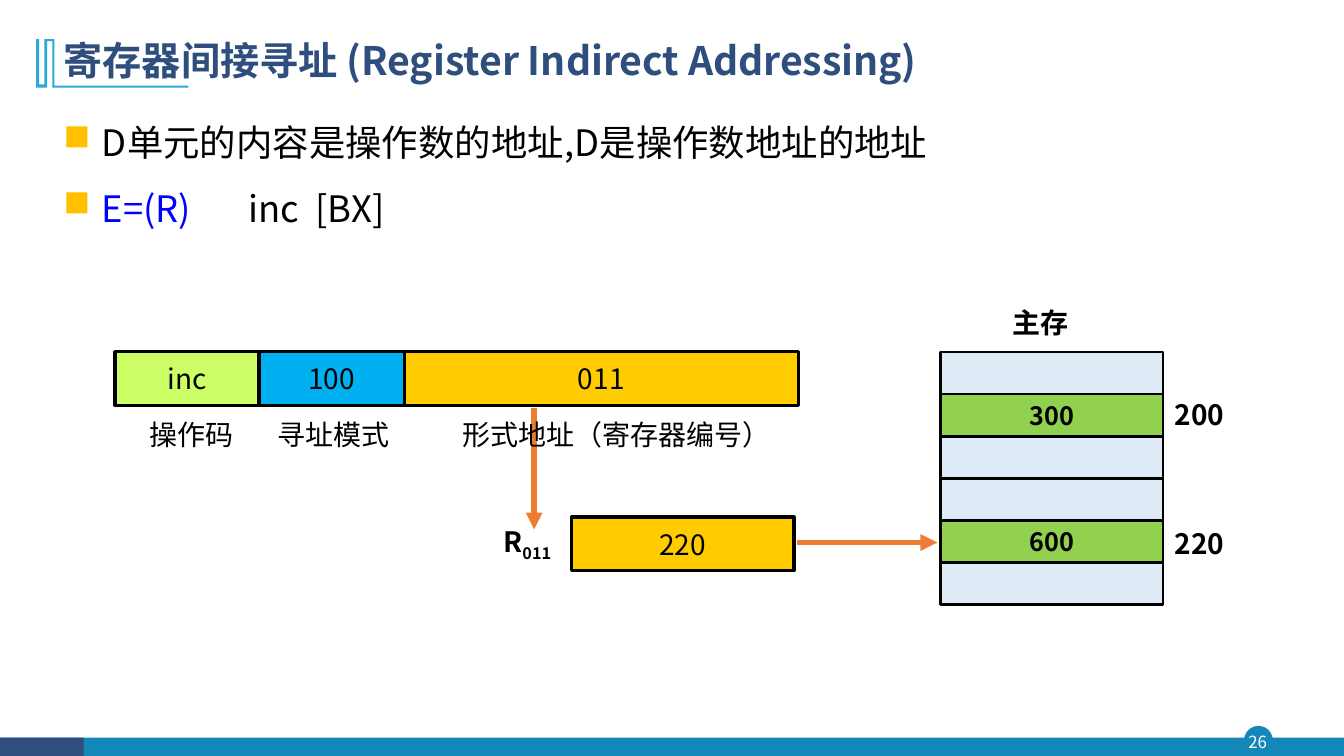
from dataclasses import dataclass

from lxml.etree import SubElement
from pptx import Presentation
from pptx.dml.color import RGBColor
from pptx.enum.shapes import MSO_CONNECTOR, MSO_SHAPE as Preset
from pptx.enum.text import MSO_ANCHOR as Anchor, MSO_AUTO_SIZE as AutoSize, PP_ALIGN as Align
from pptx.oxml.ns import qn
from pptx.util import Cm, Pt

FONT = "Noto Sans CJK SC"
BLACK, WHITE, NAVY, TEAL, CYAN = "000000", "FFFFFF", "2E4E7E", "1387B7", "28A9D6"
YELLOW, ORANGE, PALE, GREEN = "FFCC00", "ED7D31", "DEEBF7", "92D050"


@dataclass
class Box:
    left: float
    top: float
    width: float
    height: float
    text: str = ""
    size: float = 20
    bold: bool = False
    fill: str = ""
    line: str = ""
    weight: float = 2.25
    color: str = BLACK
    preset: Preset = Preset.RECTANGLE
    anchor: Anchor = Anchor.TOP
    subscript: str = ""

    def place(self) -> tuple:
        return Cm(self.left), Cm(self.top), Cm(self.width), Cm(self.height)


@dataclass
class Arrow:
    start: tuple
    end: tuple


def rgb(value: str) -> RGBColor:
    return RGBColor.from_string(value)


def set_all(target, values: dict) -> None:
    for name, value in values.items():
        setattr(target, name, value)


def add_run(paragraph, text: str, size: float, color: str = BLACK, bold: bool = False):
    run = paragraph.add_run()
    run.text = text
    set_all(run.font, {"name": FONT, "size": Pt(size), "bold": bold})
    run.font.color.rgb = rgb(color)
    SubElement(run.font._element, qn("a:ea"), typeface=FONT)
    return run


def paint(shape, fill: str, line: str = "", weight: float = 1) -> None:
    shape.shadow.inherit = False
    shape.fill.solid()
    shape.fill.fore_color.rgb = rgb(fill)
    if line:
        shape.line.color.rgb = rgb(line)
        shape.line.width = Pt(weight)
    else:
        shape.line.fill.background()


def draw_box(slide, box: Box):
    if box.fill:
        shape = slide.shapes.add_shape(box.preset, *box.place())
        paint(shape, box.fill, box.line, box.weight)
    else:
        shape = slide.shapes.add_textbox(*box.place())
    if box.text:
        frame = shape.text_frame
        set_all(frame, {"word_wrap": False, "vertical_anchor": box.anchor})
        paragraph = frame.paragraphs[0]
        paragraph.alignment = Align.CENTER
        add_run(paragraph, box.text, box.size, box.color, box.bold)
        if box.subscript:
            run = add_run(paragraph, box.subscript, box.size, box.color, box.bold)
            run.font._element.set("baseline", "-25000")
    return shape


def draw_arrow(slide, arrow: Arrow) -> None:
    ends = [Cm(value) for value in (*arrow.start, *arrow.end)]
    connector = slide.shapes.add_connector(MSO_CONNECTOR.STRAIGHT, *ends)
    connector.line.color.rgb = rgb(ORANGE)
    connector.line.width = Pt(4)
    SubElement(connector.line._get_or_add_ln(), qn("a:tailEnd"), type="triangle")
    SubElement(connector._element.spPr, qn("a:effectLst"))


def add_bullet(paragraph, tabs: tuple = ()) -> None:
    properties = paragraph._p.get_or_add_pPr()
    properties.set("marL", str(Cm(0.97)))
    properties.set("indent", str(-Cm(0.97)))
    bullet_color = SubElement(properties, qn("a:buClr"))
    SubElement(bullet_color, qn("a:srgbClr"), val="FFC000")
    SubElement(properties, qn("a:buFont"), typeface="Wingdings", charset="2")
    SubElement(properties, qn("a:buChar"), char="n")
    if tabs:
        tab_list = SubElement(properties, qn("a:tabLst"))
        for position in tabs:
            SubElement(tab_list, qn("a:tab"), pos=str(Cm(position)), algn="l")


def draw_frame(slide) -> None:
    # Footer bars and page number
    for box in (
        Box(31.37, 18.31, 0.69, 0.69, fill=TEAL, line=TEAL, weight=1, preset=Preset.OVAL),
        Box(0, 18.59, 33.87, 0.46, fill=TEAL),
        Box(0, 18.59, 2.11, 0.46, fill=NAVY),
    ):
        draw_box(slide, box)
    number = draw_box(slide, Box(31.29, 18.31, 0.81, 0.79, "26", 12,
                                 color=WHITE, anchor=Anchor.MIDDLE))
    sides = ("margin_left", "margin_top", "margin_right", "margin_bottom")
    set_all(number.text_frame, dict.fromkeys(sides, 0))

    # Title ornament, in hundredths of a centimetre
    outline = [(137, 216), (475, 216), (475, 221), (132, 221), (132, 104), (119, 104),
               (119, 221), (91, 221), (91, 99), (99, 99), (99, 213), (112, 213), (112, 99)]
    builder = slide.shapes.build_freeform(137, 99, scale=Cm(0.01))
    builder.add_line_segments(outline, close=True)
    paint(builder.convert_to_shape(), CYAN)


def draw_title(slide) -> None:
    title = slide.shapes.title
    set_all(title, {"left": Cm(1.35), "top": Cm(0.71), "width": Cm(29.21), "height": Cm(1.73)})
    set_all(title.text_frame, {"word_wrap": True, "auto_size": AutoSize.NONE,
                               "vertical_anchor": Anchor.MIDDLE})
    paragraph = title.text_frame.paragraphs[0]
    set_all(paragraph, {"alignment": Align.LEFT, "line_spacing": 0.9})
    add_run(paragraph, "寄存器间接寻址 (Register Indirect Addressing)", 28, NAVY, True)


def draw_points(slide) -> None:
    frame = slide.shapes.add_textbox(Cm(1.35), Cm(2.9), Cm(29.21), Cm(4.1)).text_frame
    frame.word_wrap = True
    first, second = frame.paragraphs[0], frame.add_paragraph()
    add_bullet(first)
    add_bullet(second, (4.67, 6.35))
    second.space_before = Pt(16)
    for paragraph in (first, second):
        paragraph.alignment = Align.JUSTIFY
    add_run(first, "D单元的内容是操作数的地址,D是操作数地址的地址", 26)
    add_run(second, "E=(R)", 26, "0000FF")
    add_run(second, "\tinc\t[BX]", 26)


def draw_diagram(slide) -> None:
    for arrow in (Arrow((20.09, 13.67), (23.62, 13.67)), Arrow((13.46, 10.29), (13.46, 13.34))):
        draw_arrow(slide, arrow)

    # Instruction fields and register
    for left, top, width, text, fill in (
        (2.9, 8.86, 3.63, "inc", "CCFF66"),
        (6.53, 8.86, 3.66, "100", "00B0F0"),
        (10.19, 8.86, 9.93, "011", YELLOW),
        (14.4, 13.03, 5.61, "220", YELLOW),
    ):
        draw_box(slide, Box(left, top, width, 1.35, text, fill=fill, line=BLACK,
                            anchor=Anchor.MIDDLE))

    # Main memory
    for row, value in enumerate(("", "300", "", "", "600", "")):
        draw_box(slide, Box(23.7, 8.87 + row * 1.06, 5.61, 1.06, value, 18, True,
                            GREEN if value else PALE, BLACK, 2, anchor=Anchor.MIDDLE))

    # Labels
    for label in (
        Box(3.51, 10.39, 2.62, 1.12, "操作码"),
        Box(6.73, 10.39, 3.35, 1.12, "寻址模式"),
        Box(10.74, 10.39, 9.6, 1.12, "形式地址（寄存器编号）"),
        Box(25.27, 7.57, 1.93, 1.12, "主存", bold=True),
        Box(29.31, 9.88, 1.83, 1.12, "200", bold=True),
        Box(29.31, 13.13, 1.83, 1.12, "220", bold=True),
        Box(12.34, 13.08, 1.9, 1.12, "R", bold=True, subscript="011"),
    ):
        draw_box(slide, label)


def main() -> None:
    presentation = Presentation()
    set_all(presentation, {"slide_width": Cm(33.87), "slide_height": Cm(19.05)})
    slide = presentation.slides.add_slide(presentation.slide_layouts[5])
    for draw in (draw_frame, draw_title, draw_points, draw_diagram):
        draw(slide)
    presentation.save("out.pptx")


if __name__ == "__main__":
    main()
